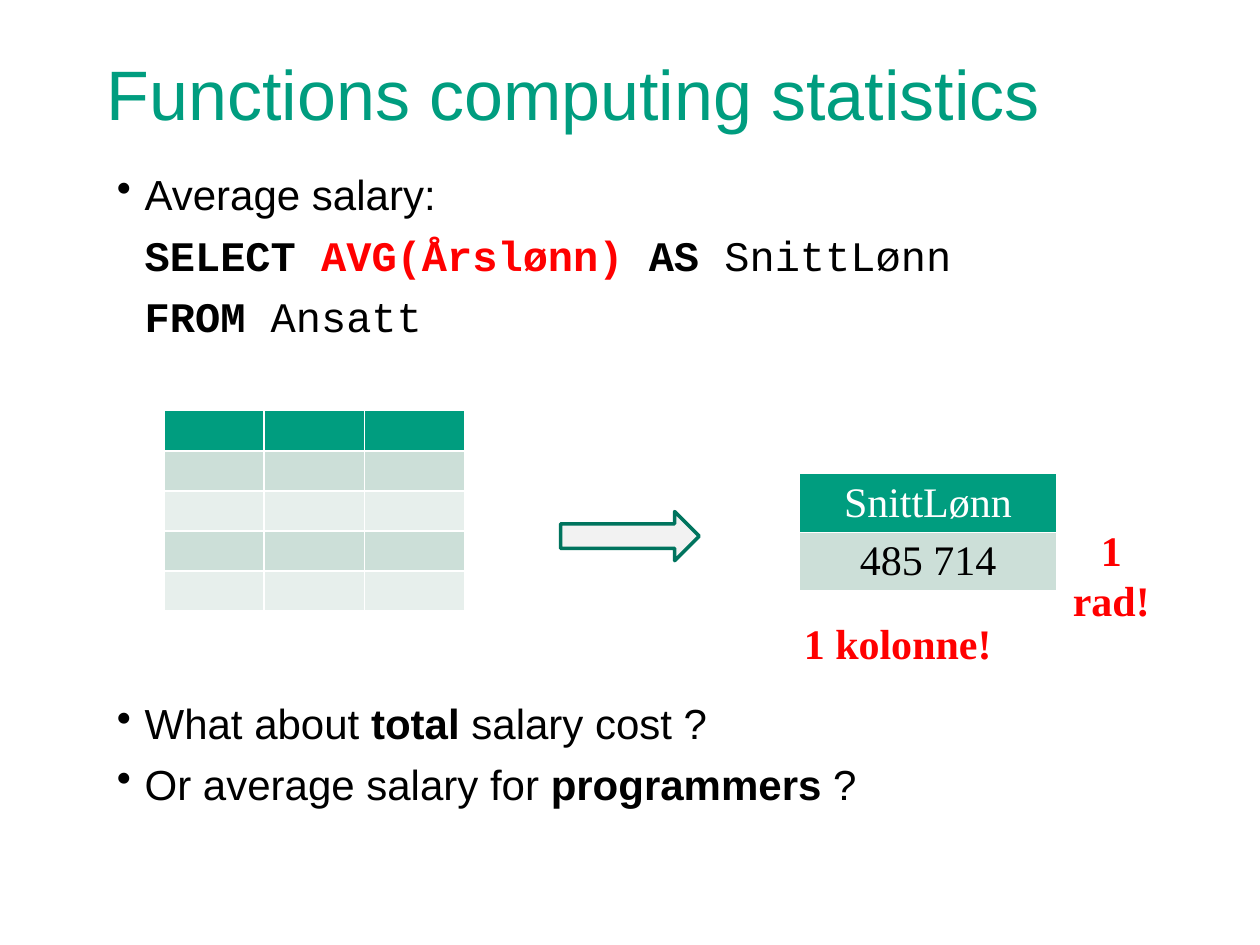
from pptx import Presentation
from pptx.dml.color import RGBColor
from pptx.enum.shapes import MSO_SHAPE
from pptx.enum.text import MSO_ANCHOR, PP_ALIGN
from pptx.oxml.ns import qn
from pptx.util import Inches, Pt
from lxml import etree

CENTER = PP_ALIGN.CENTER
BOTTOM = MSO_ANCHOR.BOTTOM
RIGHT_ARROW = MSO_SHAPE.RIGHT_ARROW

GREEN = RGBColor(0x00, 0x9D, 0x7F)
DARK_GREEN = RGBColor(0x00, 0x74, 0x5E)
BAND_DARK = RGBColor(0xCC, 0xDF, 0xD8)
BAND_LIGHT = RGBColor(0xE7, 0xEF, 0xEC)
PALE_GRAY = RGBColor(0xF2, 0xF2, 0xF2)
RED = RGBColor(0xFF, 0x00, 0x00)
BLACK = RGBColor(0x00, 0x00, 0x00)
WHITE = RGBColor(0xFF, 0xFF, 0xFF)

GRID_UNIT = Inches(0.1)
COLUMNS, ROWS = 100, 75
HANGING = Inches(0.22)

TITLE = {"name": "Arial", "size": Pt(40), "color": GREEN}
BODY = {"name": "Arial", "size": Pt(24), "color": BLACK}
STRONG = {**BODY, "bold": True}
CODE = {**BODY, "name": "Courier New"}
KEYWORD = {**CODE, "bold": True}
FUNCTION = {**KEYWORD, "color": RED}
HEADING_CELL = {"name": "Times New Roman", "size": Pt(24), "color": WHITE, "bold": False}
VALUE_CELL = {**HEADING_CELL, "color": BLACK}
CALLOUT = {**HEADING_CELL, "color": RED, "bold": True}

QUERY = [
    (True, [("Average salary:", BODY)]),
    (False, [("SELECT ", KEYWORD), ("AVG(Årslønn) ", FUNCTION),
             ("AS ", KEYWORD), ("SnittLønn", CODE)]),
    (False, [("FROM", KEYWORD), (" Ansatt", CODE)]),
]
QUESTIONS = [
    (True, [("What about ", BODY), ("total ", STRONG), ("salary cost ?", BODY)]),
    (True, [("Or average salary for", BODY), (" programmers ", STRONG), ("?", BODY)]),
]


def grid(*lengths):
    return [round(length * GRID_UNIT) for length in lengths]


def add_run(paragraph, text, formats):
    run = paragraph.add_run()
    run.text = text
    for attribute, value in formats.items():
        if attribute == "color":
            run.font.color.rgb = value
        else:
            setattr(run.font, attribute, value)


def add_text_frame(slide, box):
    frame = slide.shapes.add_textbox(*grid(*box)).text_frame
    frame.word_wrap = True
    return frame


def add_label(slide, box, text, formats, alignment=None, anchor=None):
    frame = add_text_frame(slide, box)
    frame.vertical_anchor = anchor
    paragraph = frame.paragraphs[0]
    paragraph.alignment = alignment
    add_run(paragraph, text, formats)


def add_list(slide, box, items):
    frame = add_text_frame(slide, box)
    for index, (bulleted, runs) in enumerate(items):
        paragraph = frame.add_paragraph() if index else frame.paragraphs[0]
        paragraph.space_after = Pt(6)
        properties = paragraph._p.get_or_add_pPr()
        properties.set("marL", str(HANGING))
        if bulleted:
            properties.set("indent", str(-HANGING))
            etree.SubElement(properties, qn("a:buChar")).set("char", "•")
        for text, formats in runs:
            add_run(paragraph, text, formats)


def add_banded_table(slide, box, row_count, column_count, texts=()):
    table = slide.shapes.add_table(row_count, column_count, *grid(*box)).table
    for row_index, row in enumerate(table.rows):
        band = BAND_DARK if row_index % 2 else BAND_LIGHT
        for cell in row.cells:
            cell.margin_top = cell.margin_bottom = 0
            cell.vertical_anchor = MSO_ANCHOR.MIDDLE
            cell.fill.solid()
            cell.fill.fore_color.rgb = band if row_index else GREEN
    for row_index, text in enumerate(texts):
        paragraph = table.cell(row_index, 0).text_frame.paragraphs[0]
        paragraph.alignment = CENTER
        add_run(paragraph, text, VALUE_CELL if row_index else HEADING_CELL)


def add_arrow(slide, box):
    arrow = slide.shapes.add_shape(RIGHT_ARROW, *grid(*box))
    arrow.shadow.inherit = False
    arrow.fill.solid()
    arrow.fill.fore_color.rgb = PALE_GRAY
    arrow.line.color.rgb = DARK_GREEN
    arrow.line.width = Pt(2)


def main():
    presentation = Presentation()
    presentation.slide_width, presentation.slide_height = grid(COLUMNS, ROWS)
    slide = presentation.slides.add_slide(presentation.slide_layouts[6])

    add_label(slide, (7.5, 3.5, 85, 7.7), "Functions computing statistics",
              TITLE, anchor=BOTTOM)
    add_list(slide, (8.3, 12.9, 82.7, 15), QUERY)
    add_list(slide, (8.3, 54.9, 82.7, 10), QUESTIONS)
    add_banded_table(slide, (13, 32.6, 23.9, 15.9), 5, 3)
    add_banded_table(slide, (63.4, 37.6, 20.5, 9.3), 2, 1, ("SnittLønn", "485 714"))
    add_arrow(slide, (44.5, 40.6, 11, 3.9))
    add_label(slide, (62.6, 48.5, 17.3, 5), "1 kolonne!", CALLOUT, CENTER)
    add_label(slide, (83.1, 41.1, 10.2, 5), "1 rad!", CALLOUT, CENTER)

    presentation.save("out.pptx")


if __name__ == "__main__":
    main()
